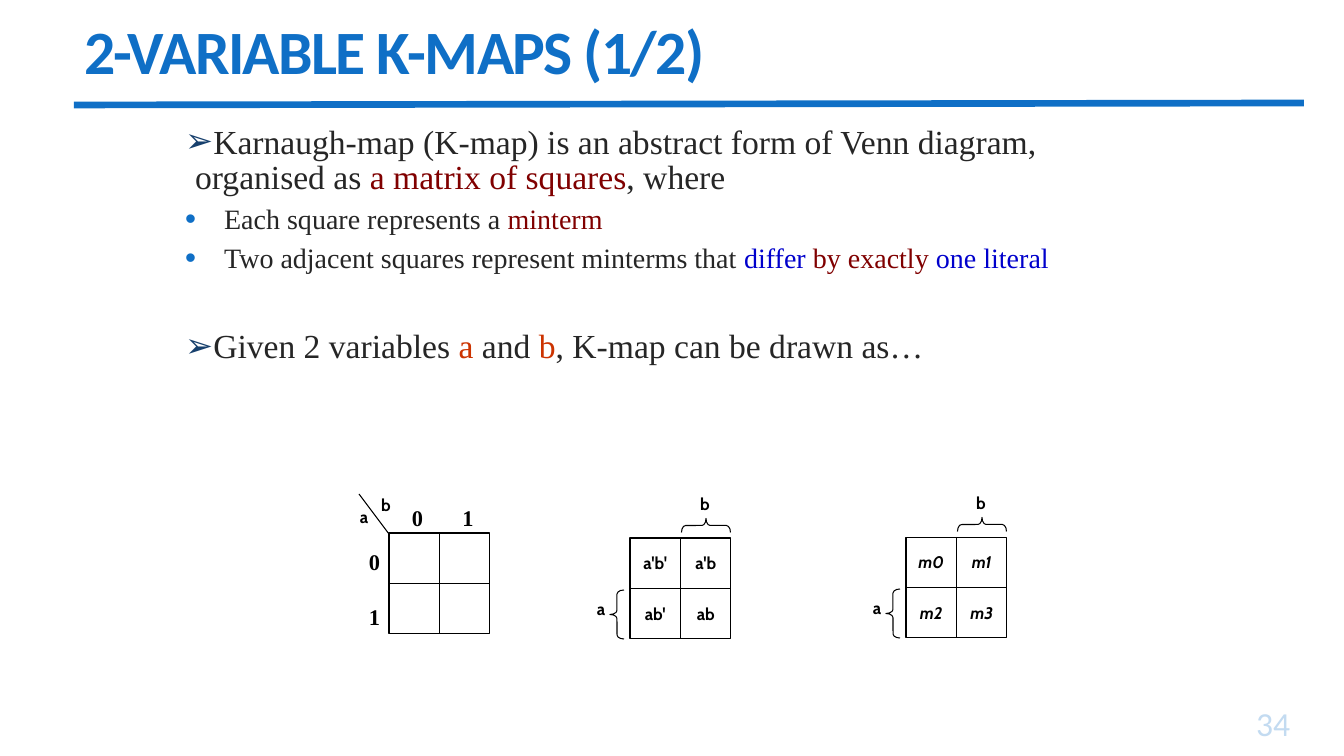
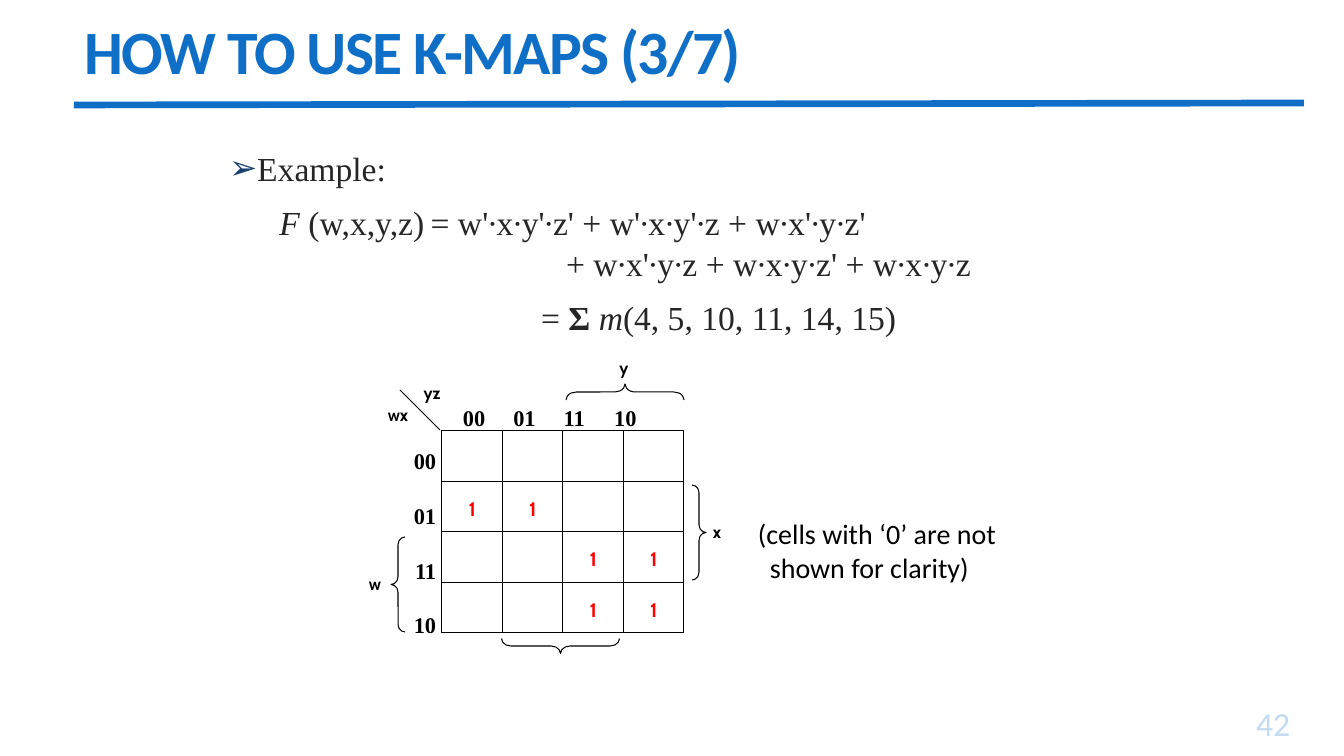
from pptx import Presentation
from pptx import util as u
from pptx.dml import color
from pptx.enum import shapes, text
from pptx.oxml import ns
from lxml import etree

PIXELS_PER_INCH = 100.8
BLUE, PALE_BLUE, NAVY = "0F6FC6", "C3DBF1", "17406D"
BLACK, INK, MAROON = "000000", "262626", "800000"
LINK_BLUE, ORANGE, RED = "0000CC", "CC3300", "FF0000"
SERIF, SANS, LABEL = "Times New Roman", "Calibri", "Cabin"
LEFT, CENTER, RIGHT = text.PP_ALIGN.LEFT, text.PP_ALIGN.CENTER, text.PP_ALIGN.RIGHT
POINTS_LEFT, POINTS_UP, POINTS_RIGHT, POINTS_DOWN = 0, 90, 180, 270


def px(length):
    """Turn pixels into EMU."""
    return u.Emu(round(length * 914400 / PIXELS_PER_INCH))


def rgb(hex_string):
    """Turn a hex string into a colour."""
    return color.RGBColor.from_string(hex_string)


def place(shape, left, top, width, height):
    """Move and size a shape, in pixels."""
    shape.left, shape.top, shape.width, shape.height = map(px, (left, top, width, height))


def add_run(paragraph, words, size, font, hex_string, bold=False, italic=False):
    """Add one formatted run and return it."""
    run = paragraph.add_run()
    run.text = words
    run.font.size, run.font.name = u.Pt(size), font
    run.font.bold, run.font.italic = bold, italic
    run.font.color.rgb = rgb(hex_string)
    return run


def add_element(parent, tag, **attributes):
    """Append a drawing element with its attributes."""
    return etree.SubElement(parent, ns.qn("a:" + tag), attributes)


def set_layout(paragraph, margin=0, indent=0, bullet=None, tabs=()):
    """Set margin, first-line indent, bullet (character, colour, percent) and tab stops."""
    properties = paragraph._p.get_or_add_pPr()
    properties.set("marL", str(px(margin)))
    properties.set("indent", str(px(indent)))
    if bullet:
        character, hex_string, percent = bullet
        add_element(add_element(properties, "buClr"), "srgbClr", val=hex_string)
        add_element(properties, "buSzPct", val=str(percent * 1000))
        add_element(properties, "buChar", char=character)
    else:
        add_element(properties, "buNone")
    if tabs:
        tab_list = add_element(properties, "tabLst")
        for stop in tabs:
            add_element(tab_list, "tab", pos=str(px(stop)), algn="l")


def next_paragraph(frame):
    """Return the unused first paragraph, or a new one."""
    first = frame.paragraphs[0]
    return frame.add_paragraph() if first.runs else first


def add_textbox(parts, box):
    """Add a wrapping text box and return its frame."""
    frame = parts.add_textbox(*map(px, box)).text_frame
    frame.word_wrap = True
    return frame


def add_label(parts, words, box, size=12, hex_string=BLACK, italic=False):
    """Add a bold centred label."""
    paragraph = add_textbox(parts, box).paragraphs[0]
    paragraph.alignment = CENTER
    add_run(paragraph, words, size, LABEL, hex_string, True, italic)


def add_line(parts, start, end, hex_string=BLACK, width=0.75):
    """Add a straight line between two points."""
    line = parts.add_connector(shapes.MSO_CONNECTOR.STRAIGHT, *map(px, start + end))
    line.line.color.rgb = rgb(hex_string)
    line.line.width = u.Pt(width)
    add_element(line._element.spPr, "effectLst")


def add_outline(parts, kind, box):
    """Add an unfilled black outline shape."""
    shape = parts.add_shape(kind, *map(px, box))
    shape.shadow.inherit = False
    shape.fill.background()
    shape.line.color.rgb = rgb(BLACK)
    shape.line.width = u.Pt(0.75)
    return shape


def add_brace(parts, box, direction, curve):
    """Add a brace whose tip points in the given direction."""
    brace = add_outline(parts, shapes.MSO_SHAPE.LEFT_BRACE, box)
    brace.rotation = direction
    brace.adjustments[0] = curve


def add_grid(parts, box, count):
    """Add a square grid of count by count cells."""
    left, top, width, height = box
    add_outline(parts, shapes.MSO_SHAPE.RECTANGLE, box)
    for index in range(1, count):
        x, y = left + index * width / count, top + index * height / count
        add_line(parts, (left, y), (left + width, y))
        add_line(parts, (x, top), (x, top + height))


def add_cells(parts, box, count, entries, **style):
    """Label grid cells; entries maps (row, column) to words."""
    left, top, width, height = box
    cell_width, cell_height = width / count, height / count
    for (row, column), words in entries.items():
        cell = (left + column * cell_width, top + row * cell_height + 10, cell_width, 40)
        add_label(parts, words, cell, **style)


def add_headings(parts, names, column_box, tabs, row_box):
    """Add the column values on tab stops and the row values one below another."""
    paragraph = add_textbox(parts, column_box).paragraphs[0]
    set_layout(paragraph, tabs=tabs)
    add_run(paragraph, "\t".join(names), 16, SERIF, BLACK, True)
    frame = add_textbox(parts, row_box)
    for index, name in enumerate(sorted(names, key=lambda n: ("00", "01", "11", "10", "0", "1").index(n))):
        paragraph = next_paragraph(frame)
        paragraph.alignment = RIGHT
        paragraph.space_before = u.Pt(20 if index else 0)
        add_run(paragraph, name, 16, SERIF, BLACK, True)


def add_slide(presentation, title, number):
    """Add a slide with the shared title, rule and number; return it and its body."""
    slide = presentation.slides.add_slide(presentation.slide_layouts[1])
    heading, body = slide.placeholders
    place(heading, 74, 8, 1187, 95)
    frame = heading.text_frame
    frame.auto_size = text.MSO_AUTO_SIZE.NONE
    frame.vertical_anchor = text.MSO_ANCHOR.MIDDLE
    paragraph = frame.paragraphs[0]
    paragraph.alignment, paragraph.line_spacing = LEFT, 0.85
    run = add_run(paragraph, title, 44, SANS, BLUE, True)
    run._r.get_or_add_rPr().set("spc", "-120")
    add_line(slide.shapes, (74, 105), (1304, 103), BLUE, 4.75)
    frame = add_textbox(slide.shapes, (1169, 706, 131, 42))
    frame.vertical_anchor = text.MSO_ANCHOR.BOTTOM
    frame.paragraphs[0].alignment = RIGHT
    add_run(frame.paragraphs[0], number, 24, SANS, PALE_BLUE)
    body.text_frame.auto_size = text.MSO_AUTO_SIZE.NONE
    return slide, body


def add_body_line(body, runs, before, spacing, size=24, level=0, **layout):
    """Add a body paragraph from (words, colour, style) runs."""
    paragraph = next_paragraph(body.text_frame)
    paragraph.level = level
    paragraph.line_spacing, paragraph.space_before = spacing, u.Pt(before)
    paragraph.space_after = u.Pt(0)
    set_layout(paragraph, **layout)
    for words, hex_string, style in runs:
        add_run(paragraph, words, size, SERIF, hex_string, "b" in style, "i" in style)


ARROW = dict(margin=10, indent=-10, bullet=("\u27a2", NAVY, 100))
DOT = dict(level=1, size=20, margin=39, indent=-39, bullet=("\u2022", BLUE, 112))


def add_blank_map(slide, left, top):
    """Add the empty map with its 0 and 1 headings."""
    parts = slide.shapes.add_group_shape().shapes
    add_grid(parts, (left, top, 101, 101), 2)
    add_line(parts, (left, top + 1), (left - 30, top - 39))
    add_label(parts, "a", (left - 47, top - 31, 44, 40))
    add_label(parts, "b", (left - 25, top - 43, 44, 32))
    add_headings(parts, ("0", "1"), (left + 13, top - 34, 102, 39), (50,),
                 (left - 43, top + 10, 44, 86))


def add_braced_map(slide, left, top, names, italic):
    """Add a two-variable map with braces for a and b."""
    parts = slide.shapes.add_group_shape().shapes
    box = (left, top, 101, 101)
    add_grid(parts, box, 2)
    entries = {divmod(index, 2): name for index, name in enumerate(names)}
    add_cells(parts, box, 2, entries, italic=italic)
    add_label(parts, "a", (left - 51, top + 56, 44, 40))
    add_brace(parts, (left - 20, top + 52, 14, 49), POINTS_LEFT, 0.29)
    add_brace(parts, (left + 69, top - 37, 14, 49), POINTS_UP, 0.29)
    add_label(parts, "b", (left + 53, top - 49, 44, 32))


def add_four_variable_map(slide, left, top):
    """Add the map of w, x, y and z with its ones."""
    parts = slide.shapes.add_group_shape().shapes
    box = (left, top, 242, 202)
    add_grid(parts, box, 4)
    ones = ((1, 0), (1, 1), (2, 2), (2, 3), (3, 2), (3, 3))
    add_cells(parts, box, 4, dict.fromkeys(ones, "1"), size=14, hex_string=RED)
    add_headings(parts, ("00", "01", "11", "10"), (left + 11, top - 32, 226, 40),
                 (62, 117, 178), (left - 40, top + 11, 44, 209))
    add_line(parts, (left - 2, top - 1), (left - 42, top - 41))
    for words, x, y, width, height in (
            ("wx", -70, -31, 52, 36), ("yz", -36, -53, 52, 32), ("w", -89, 138, 44, 40),
            ("x", 253, 86, 44, 40), ("y", 160, -78, 44, 32)):
        add_label(parts, words, (left + x, top + y, width, height))
    for x, y, width, height, direction, curve in (
            (-51, 106, 14, 95, POINTS_LEFT, 0.55), (250, 54, 14, 95, POINTS_RIGHT, 0.55),
            (175, -98, 16, 118, POINTS_UP, 0.63), (111, 156, 15, 118, POINTS_DOWN, 0.63)):
        add_brace(parts, (left + x, top + y, width, height), direction, curve)


def add_note(slide, box):
    """Add the remark beside the map."""
    frame = add_textbox(slide.shapes, box)
    for words, margin in (("(cells with \u20180\u2019 are not", 0), ("shown for clarity)", 12)):
        paragraph = next_paragraph(frame)
        set_layout(paragraph, margin)
        add_run(paragraph, words, 20, SANS, BLACK)


def build_two_variable_slide(presentation):
    """Build the slide that introduces two-variable maps."""
    slide, body = add_slide(presentation, "2-VARIABLE K-MAPS (1/2)", "34")
    place(body, 175, 121, 1008, 321)
    add_body_line(body, (
        ("Karnaugh-map (K-map) is an abstract form of Venn diagram, organised as ", INK, ""),
        ("a matrix of squares", MAROON, ""), (", where", INK, "")), 0, 0.88, **ARROW)
    add_body_line(body, (("Each square represents a ", INK, ""), ("minterm", MAROON, "")),
                  6.5, 0.88, **DOT)
    add_body_line(body, (
        ("Two adjacent squares represent minterms that ", INK, ""), ("differ", LINK_BLUE, ""),
        (" by exactly ", MAROON, ""), ("one literal", LINK_BLUE, "")), 6.5, 0.88, **DOT)
    add_body_line(body, (
        ("Given 2 variables ", INK, ""), ("a", ORANGE, ""), (" and ", INK, ""),
        ("b", ORANGE, ""), (", K-map can be drawn as\u2026", INK, "")), 40, 0.88, **ARROW)
    add_blank_map(slide, 389, 533)
    add_braced_map(slide, 630, 538, ("a'b'", "a'b", "ab'", "ab"), False)
    add_braced_map(slide, 906, 537, ("m0", "m1", "m2", "m3"), True)


def build_example_slide(presentation):
    """Build the slide with the four-variable example."""
    slide, body = add_slide(presentation, "HOW TO USE K-MAPS (3/7)", "42")
    place(body, 219, 143, 907, 533)
    add_body_line(body, (("Example:", INK, ""),), 0, 1, **ARROW)
    add_body_line(body, (
        ("\tF", INK, "i"),
        (" (w,x,y,z)\t= w'\u2219x\u2219y'\u2219z' + w'\u2219x\u2219y'\u2219z + w\u2219x'\u2219y\u2219z'",
         INK, "")), 10, 1, tabs=(118, 312))
    add_body_line(body, (
        ("+ w\u2219x'\u2219y\u2219z + w\u2219x\u2219y\u2219z' + w\u2219x\u2219y\u2219z", INK, ""),),
        0, 1, margin=337)
    add_body_line(body, (
        ("= ", INK, ""), ("\u03a3 ", INK, "b"), ("m", INK, "i"),
        ("(4, 5, 10, 11, 14, 15)", INK, "")), 10, 1, margin=312)
    add_four_variable_map(slide, 442, 431)
    add_note(slide, (748, 512, 302, 78))


def main():
    """Build and save the presentation."""
    presentation = Presentation()
    presentation.slide_width, presentation.slide_height = px(1344), px(756)
    build_two_variable_slide(presentation)
    build_example_slide(presentation)
    presentation.save("out.pptx")


main()
